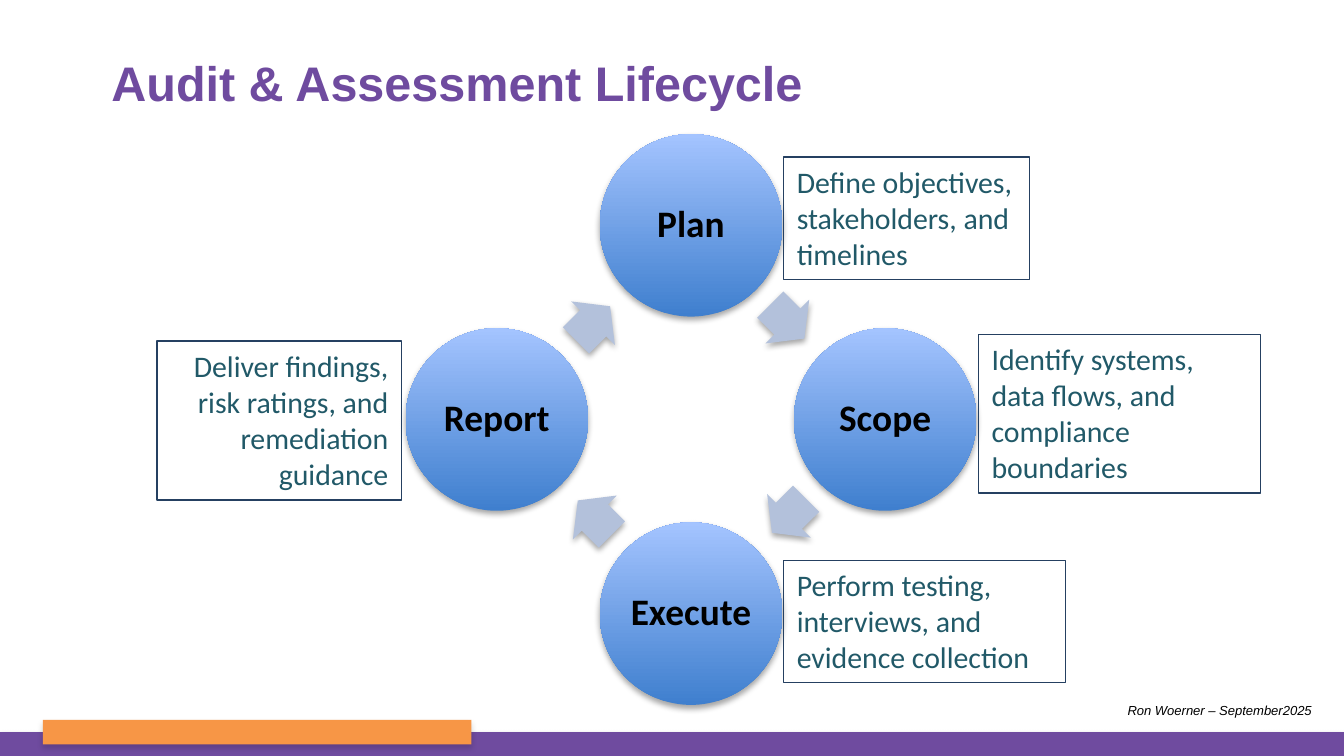
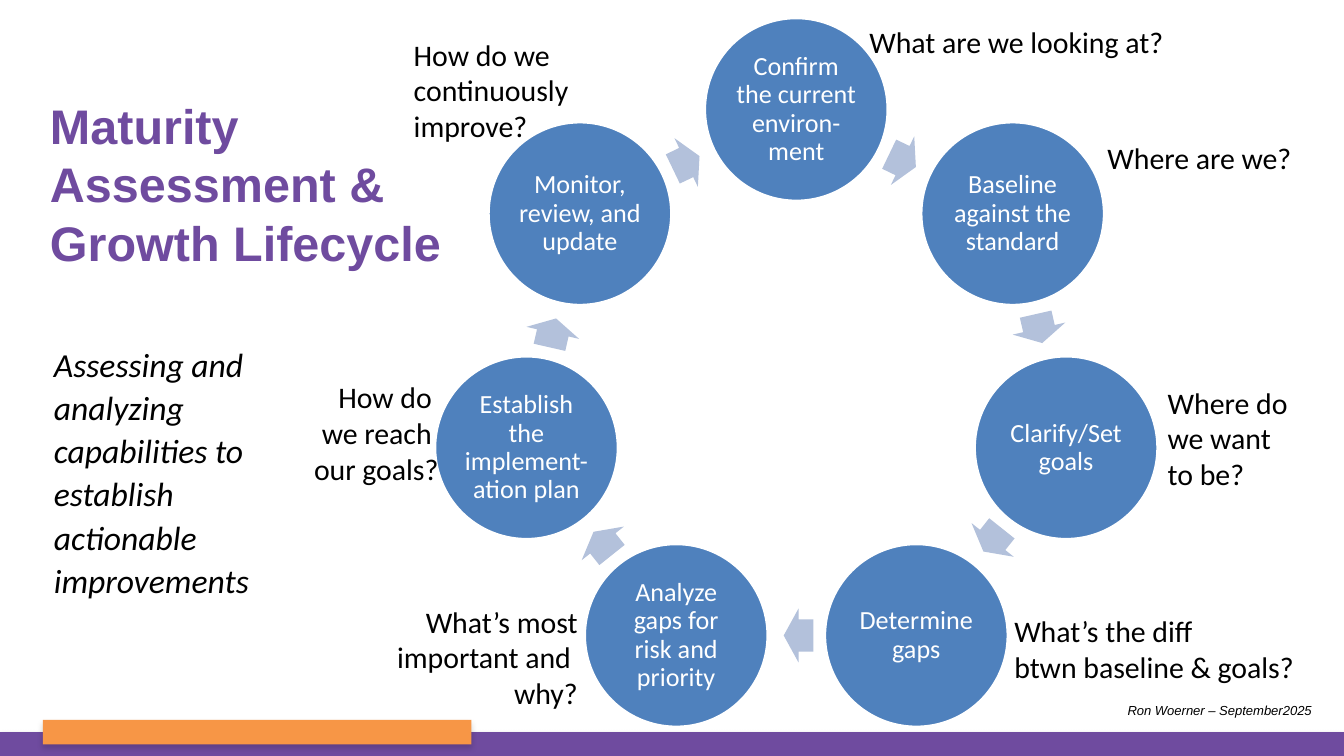
from copy import deepcopy
from math import cos, pi, radians, sin

from lxml.etree import SubElement
from pptx import Presentation
from pptx.dml.color import RGBColor
from pptx.enum.shapes import MSO_SHAPE as Kind
from pptx.enum.text import MSO_ANCHOR as Anchor, MSO_AUTO_SIZE as Auto, PP_ALIGN as Align
from pptx.oxml.ns import qn
from pptx.util import Cm, Pt

PURPLE, ORANGE, BLACK, WHITE = "6F4B9F", "F79646", "000000", "FFFFFF"
BLUE, SKY, DEEP, PALE = "4F81BD", "A4C4FF", "3F7FCE", "B3C1DB"
NAVY, TEAL = "254061", "215968"
LAG = 0.5  # degrees by which each arrow trails the middle of its gap

STEPS = ["Plan", "Scope", "Execute", "Report"]
DETAILS = [
    ("Define objectives, stakeholders, and timelines",
     (14.81, 2.97, 4.65, 2.31), Align.LEFT),
    ("Identify systems, data flows, and compliance boundaries",
     (18.49, 6.32, 5.33, 3), Align.LEFT),
    ("Perform testing, interviews, and evidence collection",
     (14.81, 10.59, 5.33, 2.31), Align.LEFT),
    ("Deliver findings, risk ratings, and remediation guidance",
     (2.97, 6.45, 4.62, 3), Align.RIGHT),
]
STAGES = [
    "Confirm the current environ-ment",
    "Baseline against the standard",
    "Clarify/Set goals",
    "Determine gaps",
    "Analyze gaps for risk and priority",
    "Establish the implement-\nation plan",
    "Monitor, review, and update",
]
ASKS = [
    ("What are we looking at?", (16.18, 0.33, 6.15, 0.94), Align.LEFT),
    ("Where are we?", (20.68, 2.51, 4.04, 0.94), Align.LEFT),
    ("Where do \nwe want \nto be?", (21.82, 7.14, 2.95, 2.31), Align.LEFT),
    ("What’s the diff\nbtwn baseline & goals?", (18.92, 11.46, 5.84, 1.63), Align.LEFT),
    ("What’s most\nimportant and \nwhy?", (7.21, 11.28, 3.96, 2.31), Align.RIGHT),
    ("How do \nwe reach \nour goals?", (5.64, 7.04, 2.9, 2.31), Align.RIGHT),
    ("How do we \ncontinuously \nimprove?", (7.57, 0.56, 3.61, 2.31), Align.LEFT),
]


def rgb(code):
    return RGBColor.from_string(code)


def write(frame, text, size=16, color=BLACK, font="Calibri", bold=False, italic=False,
          align=Align.LEFT, anchor=Anchor.TOP, wrap=True, grow=False, pad=None, lead=None):
    """Fill a text frame with one paragraph; a newline becomes a line break."""
    frame.word_wrap = wrap
    frame.auto_size = Auto.SHAPE_TO_FIT_TEXT if grow else Auto.NONE
    frame.vertical_anchor = anchor
    if pad is not None:
        frame.margin_left = frame.margin_right = Cm(pad)
        frame.margin_top = frame.margin_bottom = Cm(pad)
    para = frame.paragraphs[0]
    para.text = text
    para.alignment = align
    if lead:
        para.line_spacing = lead
    for run in para.runs:
        run.font.name, run.font.size = font, Pt(size)
        run.font.bold, run.font.italic = bold, italic
        run.font.color.rgb = rgb(color)
    look = para.runs[0].font._element
    for gap in para._p.findall(qn("a:br")):
        gap.insert(0, deepcopy(look))


def shade(shape, alpha):
    """Add a soft shadow straight below, alpha in percent."""
    effects = shape._element.spPr.find(qn("a:effectLst"))
    drop = SubElement(effects, qn("a:outerShdw"), blurRad="40000", dist="23000",
                      dir="5400000", rotWithShape="0")
    tint = SubElement(drop, qn("a:srgbClr"), val=BLACK)
    SubElement(tint, qn("a:alpha"), val=str(alpha * 1000))


def draw(slide, kind, box, fill=None, line=None, width=0.75, shadow=0):
    """Add a preset shape; a pair of fill colours runs from bottom to top."""
    shape = slide.shapes.add_shape(kind, *map(Cm, box))
    shape.shadow.inherit = False
    if fill is None:
        shape.fill.background()
    elif isinstance(fill, tuple):
        shape.fill.gradient()
        shape.fill.gradient_angle = 90
        for stop, code in zip(shape.fill.gradient_stops, fill):
            stop.color.rgb = rgb(code)
    else:
        shape.fill.solid()
        shape.fill.fore_color.rgb = rgb(fill)
    if line:
        shape.line.color.rgb = rgb(line)
        shape.line.width = Pt(width)
    else:
        shape.line.fill.background()
    if shadow:
        shade(shape, shadow)
    return shape


def label(slide, text, box, **form):
    write(slide.shapes.add_textbox(*map(Cm, box)).text_frame, text, **form)


def start(deck, title, box):
    """Add a slide with its bands, footer and title."""
    slide = deck.slides.add_slide(deck.slide_layouts[5])
    draw(slide, Kind.RECTANGLE, (0, 13.84, 25.4, 0.46), PURPLE, shadow=35)
    draw(slide, Kind.RECTANGLE, (0.81, 13.61, 8.1, 0.46), ORANGE, shadow=15)
    label(slide, "Ron Woerner – September2025", (21.06, 13.16, 4.04, 0.56),
          size=7, font="Arial", italic=True, wrap=False, grow=True)
    head = slide.shapes.title
    head.left, head.top, head.width, head.height = map(Cm, box)
    write(head.text_frame, title, size=26, color=PURPLE, font="Arial", bold=True,
          anchor=Anchor.MIDDLE)
    return slide


def ring(slide, names, mid, reach, size, arrow, disc, form):
    """Set circles clockwise from the top, with an arrow in each gap."""
    step = 360 / len(names)

    def place(angle, far, wide, high):
        turn = radians(angle)
        return (mid[0] + far * sin(turn) - wide / 2,
                mid[1] - far * cos(turn) - high / 2, wide, high)

    for i, name in enumerate(names):
        ball = draw(slide, Kind.OVAL, place(i * step, reach, size, size), **disc)
        write(ball.text_frame, name, align=Align.CENTER, anchor=Anchor.MIDDLE,
              lead=0.9, **form)
        angle = (i + 0.5) * step
        chord = reach * cos(pi / len(names))
        tip = draw(slide, Kind.RIGHT_ARROW, place(angle - LAG, chord, *arrow), PALE,
                   shadow=disc.get("shadow", 0))
        tip.adjustments[0], tip.adjustments[1] = 0.6, 0.5
        tip.rotation = angle


def audit(deck):
    slide = start(deck, "Audit & Assessment Lifecycle", (1.85, 0.58, 21.97, 1.96))
    ring(slide, STEPS, mid=(13.06, 7.93), reach=3.67, size=3.45, arrow=(0.91, 1.17),
         disc=dict(fill=(DEEP, SKY), shadow=35), form=dict(size=20, bold=True, pad=0.08))
    for text, box, align in DETAILS:
        note = draw(slide, Kind.RECTANGLE, box, line=NAVY)
        write(note.text_frame, text, color=TEAL, align=align, grow=True)


def growth(deck):
    slide = start(deck, "Maturity \nAssessment &\nGrowth Lifecycle",
                  (0.69, 0.56, 8.92, 5.82))
    ring(slide, STAGES, mid=(15.05, 7.3), reach=5.23, size=3.48, arrow=(0.56, 1.02),
         disc=dict(fill=BLUE, line=WHITE, width=2),
         form=dict(size=14, color=WHITE, pad=0.05))
    label(slide, "Assessing and analyzing capabilities to establish actionable improvements",
          (1.02, 6.45, 3.76, 5.46), size=18, italic=True, pad=0, lead=1.07)
    for text, box, align in ASKS:
        label(slide, text, box, align=align, wrap=False, grow=True)


def main():
    deck = Presentation()
    deck.slide_width, deck.slide_height = Cm(25.4), Cm(14.29)
    audit(deck)
    growth(deck)
    deck.save("out.pptx")


if __name__ == "__main__":
    main()
